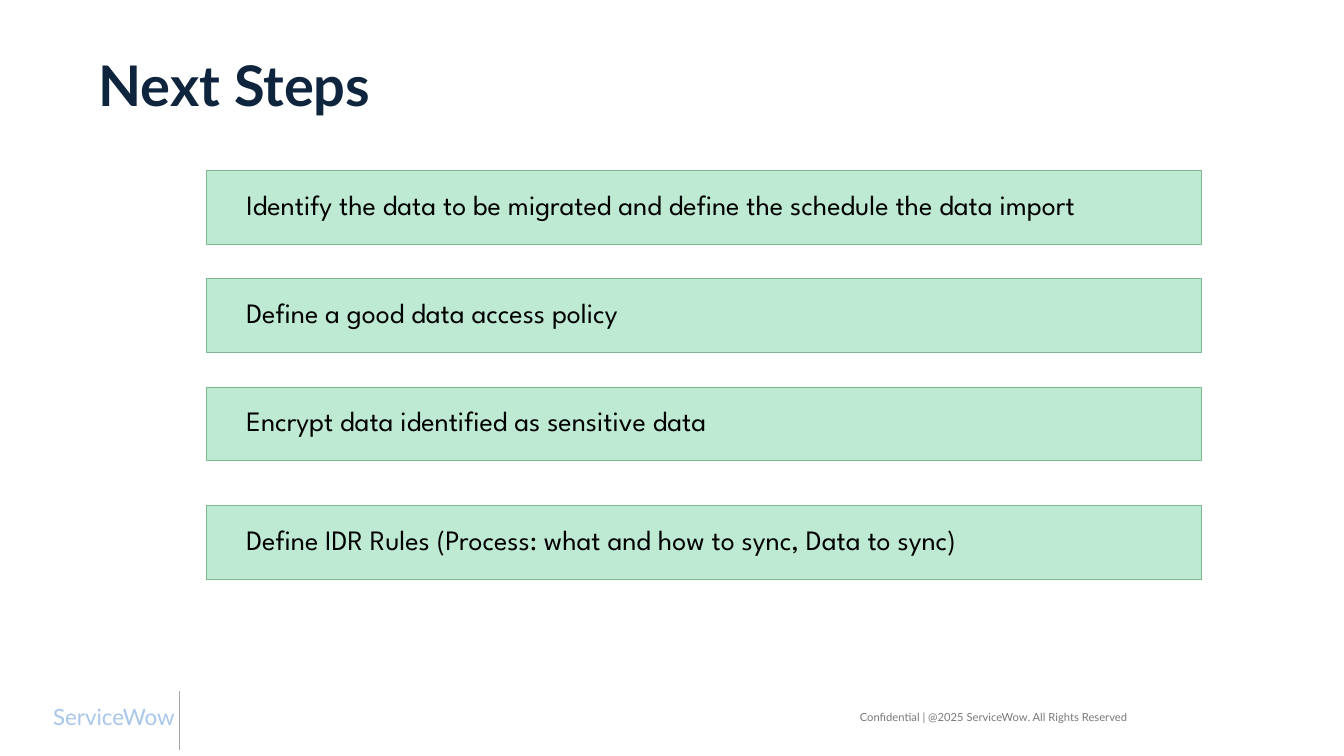
from lxml.etree import SubElement
from pptx import Presentation
from pptx.dml.color import RGBColor
from pptx.enum.shapes import MSO_CONNECTOR, MSO_SHAPE
from pptx.enum.text import MSO_ANCHOR, MSO_AUTO_SIZE, PP_ALIGN
from pptx.oxml.ns import qn
from pptx.util import Cm, Pt

COLORS = {
    "navy": "0F253E",
    "sky": "A8C7EA",
    "gray": "797979",
    "rule": "A6A6A6",
    "mint": "BEE9D2",
    "green": "7FB793",
    "black": "000000",
}
STEPS = [
    (4.29, "Identify the data to be migrated and define the schedule the data import"),
    (7.01, "Define a good data access policy"),
    (9.75, "Encrypt data identified as sensitive data"),
    (12.73, "Define IDR Rules (Process: what and how to sync, Data to sync)"),
]


def rgb(name):
    return RGBColor.from_string(COLORS[name])


class Deck:
    heading_font = "Lato"
    body_font = "League Spartan"

    def __init__(self):
        self.prs = Presentation()
        self.prs.slide_width, self.prs.slide_height = Cm(33.87), Cm(19.05)
        self.s = self.prs.slides.add_slide(self.prs.slide_layouts[6])

    def set_text(self, sp, text, size, font, color, bold=False, align=PP_ALIGN.LEFT):
        tf = sp.text_frame
        tf.word_wrap = True
        tf.text = text
        p = tf.paragraphs[0]
        p.alignment = align
        r = p.runs[0]
        r.font.size, r.font.name, r.font.bold = Pt(size), font, bold
        r.font.color.rgb = rgb(color)
        return tf

    def text(self, x, y, w, h, text, size, color, **style):
        sp = self.s.shapes.add_textbox(Cm(x), Cm(y), Cm(w), Cm(h))
        return self.set_text(sp, text, size, self.heading_font, color, **style)

    def step(self, y, text):
        sp = self.s.shapes.add_shape(
            MSO_SHAPE.RECTANGLE, Cm(5.21), Cm(y), Cm(25.07), Cm(1.86))
        sp.shadow.inherit = False
        sp.fill.solid()
        sp.fill.fore_color.rgb = rgb("mint")
        sp.line.color.rgb = rgb("green")
        sp.line.width = Pt(0.5)
        tf = self.set_text(sp, text, 20, self.body_font, "black")
        tf.vertical_anchor = MSO_ANCHOR.TOP
        tf.auto_size = MSO_AUTO_SIZE.SHAPE_TO_FIT_TEXT
        tf.margin_left = Cm(1)
        tf.margin_top = tf.margin_right = tf.margin_bottom = Cm(0.5)

    def line(self, x1, y1, x2, y2):
        c = self.s.shapes.add_connector(
            MSO_CONNECTOR.STRAIGHT, Cm(x1), Cm(y1), Cm(x2), Cm(y2))
        c.line.color.rgb = rgb("rule")
        c.line.width = Pt(0.5)
        SubElement(c._element.spPr, qn("a:effectLst"))


def main():
    deck = Deck()
    deck.text(1.09, 17.6, 3.86, 0.94, "ServiceWow", 16, "sky")
    deck.line(4.52, 17.42, 4.52, 18.9)
    footer = deck.text(19.33, 17.55, 11.43, 1.02,
                       "Confidential | @2025 ServiceWow. All Rights Reserved",
                       8, "gray", align=PP_ALIGN.CENTER)
    footer.vertical_anchor = MSO_ANCHOR.MIDDLE
    deck.text(2.24, 1.14, 26.75, 2.26, "Next Steps", 40, "navy", bold=True)
    for y, text in STEPS:
        deck.step(y, text)
    deck.prs.save("out.pptx")


if __name__ == "__main__":
    main()
